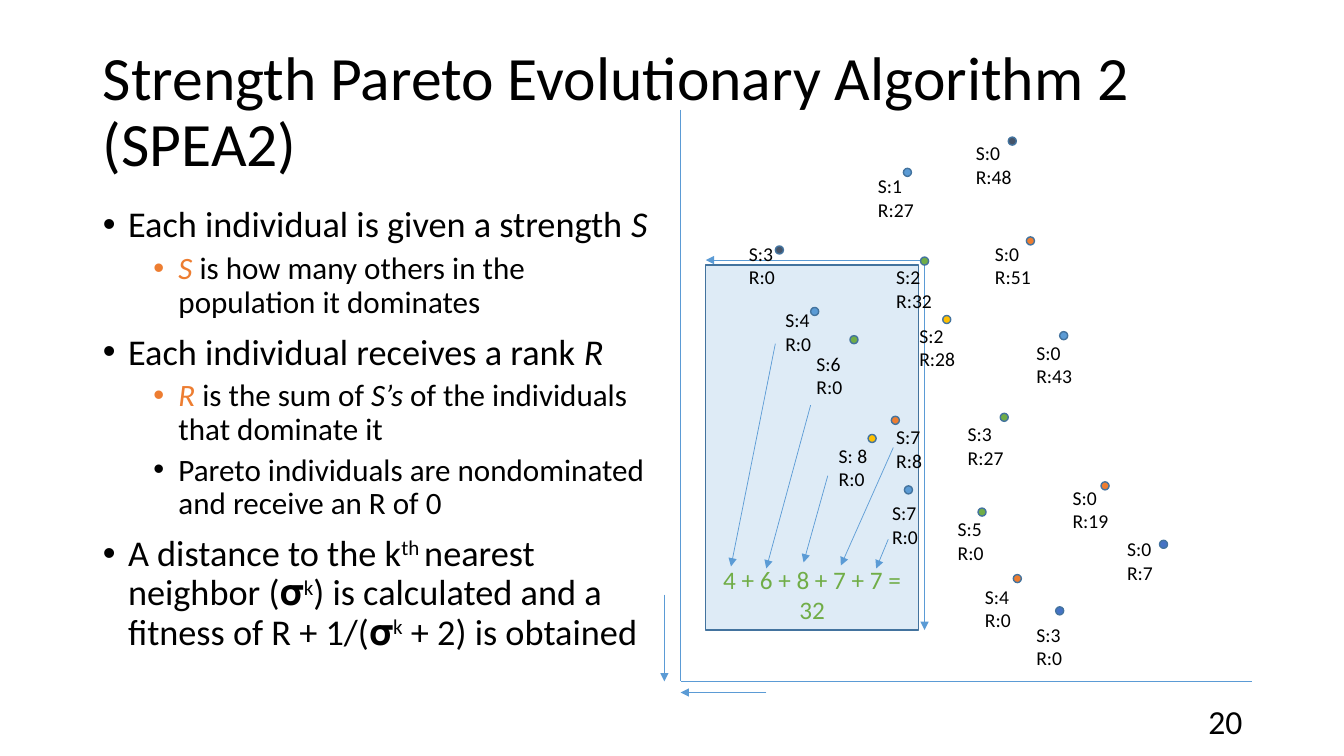
from dataclasses import dataclass
from typing import NamedTuple, Optional

from lxml import etree
from pptx import Presentation
from pptx import util as u
from pptx.dml.color import RGBColor
from pptx.enum import shapes, text
from pptx.oxml import ns

PX = 9144
DOT = 8
LABEL_SIZE = (80, 57)


@dataclass(frozen=True)
class Theme:
    font: str = "Calibri"
    ink: str = "000000"
    blue: str = "5B9BD5"
    outline: str = "43739E"
    navy: str = "44546A"
    royal: str = "4472C4"
    green: str = "70AD47"
    gold: str = "FFC000"
    orange: str = "ED7D31"
    title_size: float = 44
    levels: tuple = (25.9, 22.2)
    sum_size: float = 18
    label_size: float = 14
    number_size: float = 24


class Individual(NamedTuple):
    dot: tuple[int, int]
    color: str
    label: tuple[int, int]
    strength: str
    rank: str


class Line(NamedTuple):
    start: tuple[int, int]
    end: tuple[int, int]
    arrow: bool = True


class Piece(NamedTuple):
    words: str
    color: Optional[str] = None
    italic: bool = False
    raised: bool = False


class Bullet(NamedTuple):
    level: int
    pieces: list[Piece]


T = Theme()

BULLETS = [
    Bullet(0, [Piece("Each individual is given a strength"), Piece(" S", italic=True)]),
    Bullet(1, [Piece("S ", T.orange, True),
               Piece("is how many others in the population it dominates")]),
    Bullet(0, [Piece("Each individual receives a rank "), Piece("R", italic=True)]),
    Bullet(1, [Piece("R ", T.orange, True), Piece("is the sum of "),
               Piece("S’s ", italic=True), Piece("of the individuals that dominate it")]),
    Bullet(1, [Piece("Pareto individuals are nondominated and receive an R of 0")]),
    Bullet(0, [Piece("A distance to the k"), Piece("th ", raised=True),
               Piece("nearest neighbor (𝛔"), Piece("k", raised=True),
               Piece(") is calculated and a fitness of R + 1/(𝛔"),
               Piece("k", raised=True), Piece(" + 2) is obtained")]),
]

POPULATION = [
    Individual((769, 244), T.navy, (733, 235), "S:3", "R:0"),
    Individual((804, 305), T.blue, (769, 301), "S:4", "R:0"),
    Individual((970, 504), T.green, (940, 508), "S:5", "R:0"),
    Individual((897, 482), T.blue, (875, 492), "S:7", "R:0"),
    Individual((861, 431), T.gold, (822, 435), "S: 8", "R:0"),
    Individual((884, 413), T.orange, (879, 417), "S:7", "R:8"),
    Individual((843, 333), T.green, (800, 344), "S:6", "R:0"),
    Individual((1005, 570), T.orange, (967, 575), "S:4", "R:0"),
    Individual((1047, 602), T.royal, (1018, 613), "S:3", "R:0"),
    Individual((1000, 136), T.navy, (958, 135), "S:0", "R:48"),
    Individual((896, 167), T.blue, (861, 168), "S:1", "R:27"),
    Individual((992, 410), T.green, (950, 414), "S:3", "R:27"),
    Individual((1051, 329), T.blue, (1018, 333), "S:0", "R:43"),
    Individual((935, 313), T.gold, (902, 316), "S:2", "R:28"),
    Individual((1018, 235), T.orange, (977, 235), "S:0", "R:51"),
    Individual((913, 255), T.green, (879, 258), "S:2", "R:32"),
    Individual((1092, 478), T.orange, (1054, 477), "S:0", "R:19"),
    Individual((1150, 536), T.royal, (1108, 528), "S:0", "R:7"),
]

AXES = [
    Line((675, 109), (675, 676), False),
    Line((675, 676), (1242, 676), False),
    Line((760, 687), (675, 687)),
    Line((659, 590), (659, 676)),
]
DOMINANCE_EDGES = [Line((917, 263), (917, 625)), Line((921, 258), (700, 258))]
SUM_ARROWS = [
    Line((769, 341), (725, 562)),
    Line((804, 402), (760, 564)),
    Line((821, 472), (797, 558)),
    Line((886, 444), (834, 561)),
    Line((881, 535), (869, 564)),
]


def emu(*lengths: int) -> list[u.Emu]:
    return [u.Emu(length * PX) for length in lengths]


def style(font, size: float, color: str) -> None:
    font.name = T.font
    font.size = u.Centipoints(round(size * 100))
    font.color.rgb = RGBColor.from_string(color)


def write(frame, words: str, size: float, color: str, align=text.PP_ALIGN.LEFT) -> None:
    frame.word_wrap = True
    frame.text = words
    for paragraph in frame.paragraphs:
        paragraph.alignment = align
        for run in paragraph.runs:
            style(run.font, size, color)


def add_line(slide, line: Line) -> None:
    connector = slide.shapes.add_connector(
        shapes.MSO_CONNECTOR.STRAIGHT, *emu(*line.start, *line.end))
    connector.line.color.rgb = RGBColor.from_string(T.blue)
    connector.line.width = u.Pt(0.5)
    properties = connector._element.spPr
    if line.arrow:
        etree.SubElement(properties.find(ns.qn("a:ln")), ns.qn("a:tailEnd"), type="triangle")
    etree.SubElement(properties, ns.qn("a:effectLst"))


def add_filled(slide, kind, box: tuple[int, int, int, int], color: str):
    shape = slide.shapes.add_shape(kind, *emu(*box))
    shape.shadow.inherit = False
    shape.fill.solid()
    shape.fill.fore_color.rgb = RGBColor.from_string(color)
    shape.line.color.rgb = RGBColor.from_string(T.outline)
    shape.line.width = u.Pt(1)
    return shape


def add_text(slide, box: tuple[int, int, int, int], words: str, size: float,
             align=text.PP_ALIGN.LEFT, anchor=text.MSO_ANCHOR.TOP) -> None:
    frame = slide.shapes.add_textbox(*emu(*box)).text_frame
    frame.vertical_anchor = anchor
    write(frame, words, size, T.ink, align)


def place(placeholder, box: tuple[int, int, int, int], anchor):
    placeholder.left, placeholder.top, placeholder.width, placeholder.height = emu(*box)
    frame = placeholder.text_frame
    frame.auto_size = text.MSO_AUTO_SIZE.NONE
    frame.vertical_anchor = anchor
    frame.word_wrap = True
    return frame


def fill_bullet(paragraph, bullet: Bullet, first: bool) -> None:
    paragraph.level = bullet.level
    properties = paragraph._p.get_or_add_pPr()
    properties.set("marL", str((25, 75)[bullet.level] * PX))
    properties.set("indent", str(-25 * PX))
    etree.SubElement(properties, ns.qn("a:buFont"), typeface="Arial")
    etree.SubElement(properties, ns.qn("a:buChar"), char="•")
    paragraph.line_spacing = 0.9
    paragraph.space_before = u.Pt(0 if first else (10, 5)[bullet.level])
    for piece in bullet.pieces:
        run = paragraph.add_run()
        run.text = piece.words
        style(run.font, T.levels[bullet.level], piece.color or T.ink)
        run.font.italic = piece.italic
        if piece.raised:
            run._r.get_or_add_rPr().set("baseline", "30000")


def main() -> None:
    deck = Presentation()
    deck.slide_width, deck.slide_height = emu(1333, 750)
    slide = deck.slides.add_slide(deck.slide_layouts[1])

    heading = place(slide.shapes.title, (92, 40, 1150, 145), text.MSO_ANCHOR.MIDDLE)
    write(heading, "Strength Pareto Evolutionary Algorithm 2 (SPEA2)", T.title_size, T.ink)
    heading.paragraphs[0].line_spacing = 0.9

    explanation = place(slide.placeholders[1], (92, 200, 567, 476), text.MSO_ANCHOR.TOP)
    for index, bullet in enumerate(BULLETS):
        paragraph = explanation.add_paragraph() if index else explanation.paragraphs[0]
        fill_bullet(paragraph, bullet, index == 0)

    dominators = add_filled(slide, shapes.MSO_SHAPE.RECTANGLE, (700, 263, 211, 362), T.blue)
    tint = dominators._element.spPr.find(ns.qn("a:solidFill"))[0]
    etree.SubElement(tint, ns.qn("a:alpha"), val="20000")
    dominators.text_frame.vertical_anchor = text.MSO_ANCHOR.BOTTOM
    write(dominators.text_frame, "4 + 6 + 8 + 7 + 7 =\n32", T.sum_size, T.green,
          text.PP_ALIGN.CENTER)

    for line in DOMINANCE_EDGES + AXES + SUM_ARROWS:
        add_line(slide, line)
    for member in POPULATION:
        add_filled(slide, shapes.MSO_SHAPE.OVAL, (*member.dot, DOT, DOT), member.color)
        add_text(slide, (*member.label, *LABEL_SIZE),
                 f"{member.strength}\n{member.rank}", T.label_size)
    add_text(slide, (942, 695, 300, 40), "20", T.number_size,
             text.PP_ALIGN.RIGHT, text.MSO_ANCHOR.MIDDLE)
    deck.save("out.pptx")


if __name__ == "__main__":
    main()
